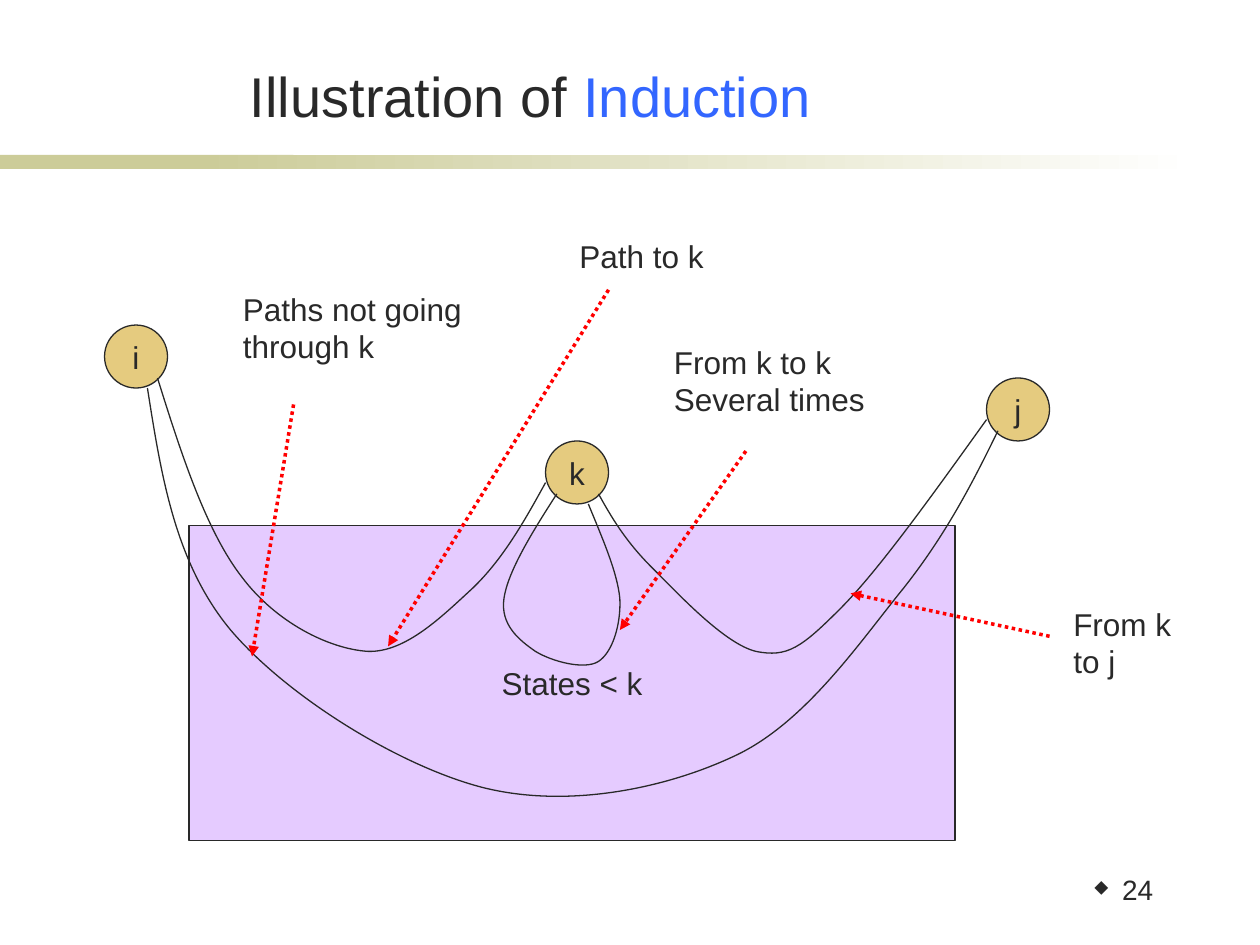
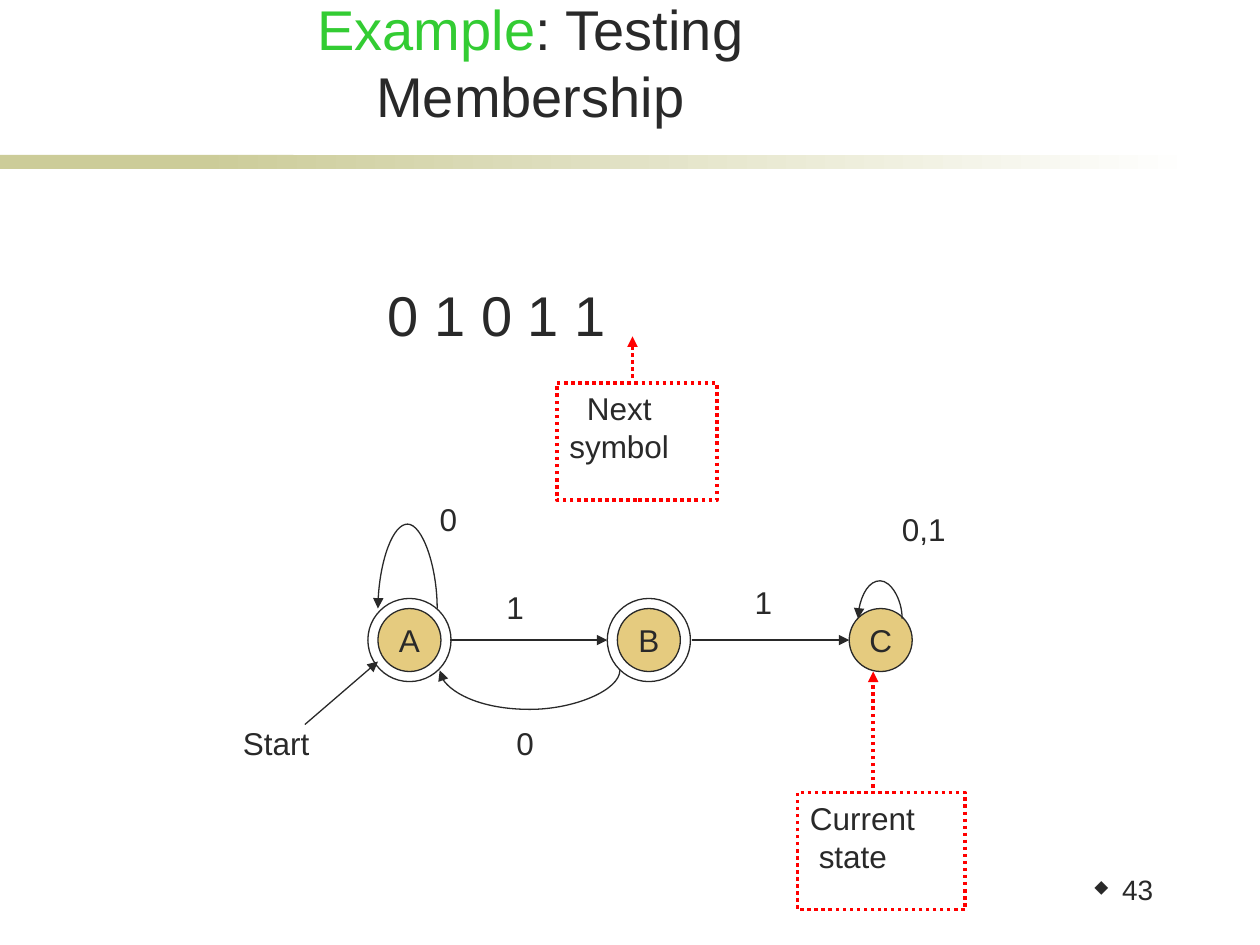
from pptx import Presentation
from pptx.dml.color import RGBColor
from pptx.enum.dml import MSO_LINE
from pptx.enum.shapes import MSO_CONNECTOR, MSO_SHAPE
from pptx.enum.text import MSO_ANCHOR, MSO_AUTO_SIZE, PP_ALIGN
from pptx.oxml.ns import qn
from pptx.util import Inches, Pt
from lxml import etree

FONT, BULLET_FONT = "Arial", "Wingdings"
DIAMOND = "u"  # the diamond in the bullet font
INK, WHITE, BAND = "292929", "FFFFFF", "CCCC99"
BLUE, GREEN, RED = "3366FF", "33CC33", "FF0000"
GOLD, LILAC = "CC9900", "CC99FF"

RECT, OVAL = MSO_SHAPE.RECTANGLE, MSO_SHAPE.OVAL
STRAIGHT = MSO_CONNECTOR.STRAIGHT
DOTTED = MSO_LINE.ROUND_DOT
LEFT, CENTER, RIGHT = PP_ALIGN.LEFT, PP_ALIGN.CENTER, PP_ALIGN.RIGHT
TOP, MIDDLE, BOTTOM = MSO_ANCHOR.TOP, MSO_ANCHOR.MIDDLE, MSO_ANCHOR.BOTTOM

TITLE_ONLY = 5
STATE_R, RING_R = 0.25, 0.33


def rgb(value):
    return RGBColor.from_string(value)


def inches(*values):
    return [Inches(v) for v in values]


# Formatting helpers
def style_run(r, size, color=INK):
    r.font.name = FONT
    r.font.size = Pt(size)
    r.font.color.rgb = rgb(color)


def write(sp, text, size=18, align=LEFT, anchor=TOP, wrap=False):
    tf = sp.text_frame
    tf.word_wrap = wrap
    tf.vertical_anchor = anchor
    tf.text = text
    for p in tf.paragraphs:
        p.alignment = align
        for r in p.runs:
            style_run(r, size)
    return tf


def style_line(line, color=INK, width=0.75, dotted=False, arrow=False):
    line.color.rgb = rgb(color)
    line.width = Pt(width)
    if dotted:
        line.dash_style = DOTTED
    if arrow:
        ln = line._get_or_add_ln()
        etree.SubElement(ln, qn("a:tailEnd"), type="triangle")


def half_transparent(sp):
    color = next(sp._element.spPr.iter(qn("a:srgbClr")))
    etree.SubElement(color, qn("a:alpha"), val="50000")


# Element kinds
def add_box(s, kind, at, fill=None):
    sp = s.shapes.add_shape(kind, *inches(*at))
    sp.shadow.inherit = False
    if fill:
        sp.fill.solid()
        sp.fill.fore_color.rgb = rgb(fill)
    else:
        sp.fill.background()
    return sp


def add_label(s, at, text, size=18):
    sp = s.shapes.add_textbox(*inches(*at))
    write(sp, text, size)


def add_filled(s, kind, at, fill, text):
    sp = add_box(s, kind, at, fill)
    half_transparent(sp)
    style_line(sp.line)
    write(sp, text, align=CENTER, anchor=MIDDLE)


def circle_at(x, y, radius):
    return x - radius, y - radius, 2 * radius, 2 * radius


def add_state(s, x, y, name, accepting=False):
    add_filled(s, OVAL, circle_at(x, y, STATE_R), GOLD, name)
    if accepting:
        ring = add_box(s, OVAL, circle_at(x, y, RING_R))
        style_line(ring.line)


def add_arrow(s, start, end, pointer=False):
    cx = s.shapes.add_connector(STRAIGHT, *inches(*start, *end))
    etree.SubElement(cx._element.spPr, qn("a:effectLst"))
    if pointer:
        style_line(cx.line, RED, 2, dotted=True, arrow=True)
    else:
        style_line(cx.line, arrow=True)


def add_curve(s, points, arrow=False):
    """Start point, then two control points and an end point per Bezier piece."""
    start, *rest = [inches(*point) for point in points]
    fb = s.shapes.build_freeform(*start)
    fb.add_line_segments(rest, close=False)
    sp = fb.convert_to_shape()
    sp.shadow.inherit = False
    sp.fill.background()
    # Each three straight segments become one cubic piece
    segments = list(sp._element.iter(qn("a:lnTo")))
    for i in range(0, len(segments), 3):
        cubic = etree.Element(qn("a:cubicBezTo"))
        segments[i].addprevious(cubic)
        for segment in segments[i:i + 3]:
            cubic.append(segment[0])
            segment.getparent().remove(segment)
    style_line(sp.line, arrow=arrow)


def add_loop(s, start, end, peak):
    """U-shaped arrow from start to end that turns at height peak."""
    (x1, y1), (x2, y2) = start, end
    quarter = (x2 - x1) / 4
    add_curve(s, [start,
                  (x1, (y1 + peak) / 2), (x1 + quarter, peak),
                  (x1 + 2 * quarter, peak),
                  (x2 - quarter, peak), (x2, (y2 + peak) / 2), end],
              arrow=True)


def add_callout(s, at, text, indents):
    sp = add_box(s, RECT, at)
    style_line(sp.line, RED, 2, dotted=True)
    tf = write(sp, text)
    for p, indent in zip(tf.paragraphs, indents):
        p._p.get_or_add_pPr().set("marL", str(Inches(indent)))


# Shared parts of a slide
def add_bands(s):
    solid = add_box(s, RECT, (0, 1.23, 2.33, 0.11), BAND)
    solid.line.fill.background()
    fade = add_box(s, RECT, (1.58, 1.23, 7.92, 0.11))
    fade.line.fill.background()
    fade.fill.gradient()
    fade.fill.gradient_angle = 0
    for stop, color in zip(fade.fill.gradient_stops, (BAND, WHITE)):
        stop.color.rgb = rgb(color)


def add_number(s, number):
    sp = s.shapes.add_textbox(*inches(8.23, 6.91, 1.02, 0.46))
    tf = write(sp, str(number), 16, RIGHT, wrap=True)
    p = tf.paragraphs[0]
    p.line_spacing = 0.9
    pPr = p._p.get_or_add_pPr()
    pPr.set("marL", str(Inches(0.23)))
    pPr.set("indent", str(Inches(-0.23)))
    color = etree.SubElement(pPr, qn("a:buClr"))
    etree.SubElement(color, qn("a:srgbClr"), val=INK)
    etree.SubElement(pPr, qn("a:buSzPct"), val="60000")
    etree.SubElement(pPr, qn("a:buFont"), typeface=BULLET_FONT, charset="2")
    etree.SubElement(pPr, qn("a:buChar"), char=DIAMOND)


def add_title(s, parts):
    sp = s.shapes.title
    sp.left, sp.top, sp.width, sp.height = inches(1.14, 0.44, 6.14, 0.63)
    tf = sp.text_frame
    tf.auto_size = MSO_AUTO_SIZE.NONE
    tf.word_wrap = True
    tf.vertical_anchor = BOTTOM
    tf.margin_left = tf.margin_right = Inches(0.15)
    p = tf.paragraphs[0]
    p.alignment = CENTER
    for text, color in parts:
        r = p.add_run()
        r.text = text
        style_run(r, 32, color)


def new_slide(prs, title, number):
    s = prs.slides.add_slide(prs.slide_layouts[TITLE_ONLY])
    add_bands(s)
    add_number(s, number)
    add_title(s, title)
    return s


def induction_slide(prs):
    s = new_slide(prs, [("Illustration of ", INK), ("Induction", BLUE)], 24)
    add_filled(s, RECT, (1.5, 4.17, 6.08, 2.5), LILAC, "States < k")
    for name, x, y in [("k", 4.58, 3.75), ("i", 1.08, 2.83), ("j", 8.08, 3.25)]:
        add_state(s, x, y, name)

    # Paths: i to j, i to k, k to k, k to j
    paths = [
        [(1.17, 3.08), (1.28, 3.78), (1.39, 4.47), (1.83, 5),
         (2.28, 5.53), (3.17, 6.08), (3.83, 6.25),
         (4.5, 6.42), (5.28, 6.26), (5.83, 6),
         (6.39, 5.74), (6.82, 5.1), (7.17, 4.67),
         (7.51, 4.24), (7.72, 3.83), (7.92, 3.42)],
        [(1.25, 3), (1.44, 3.61), (1.64, 4.22), (1.92, 4.58),
         (2.19, 4.94), (2.61, 5.15), (2.92, 5.17),
         (3.22, 5.18), (3.51, 4.89), (3.75, 4.67),
         (3.99, 4.44), (4.16, 4.14), (4.33, 3.83)],
        [(4.42, 3.92), (4.22, 4.23), (4.03, 4.54), (4, 4.75),
         (3.97, 4.96), (4.12, 5.08), (4.25, 5.17),
         (4.38, 5.25), (4.64, 5.32), (4.75, 5.25),
         (4.86, 5.18), (4.93, 4.96), (4.92, 4.75),
         (4.9, 4.54), (4.78, 4.27), (4.67, 4)],
        [(4.75, 3.92), (4.85, 4.1), (4.96, 4.29), (5.17, 4.5),
         (5.38, 4.71), (5.75, 5.11), (6, 5.17),
         (6.25, 5.22), (6.36, 5.14), (6.67, 4.83),
         (6.97, 4.53), (7.4, 3.93), (7.83, 3.33)],
    ]
    for points in paths:
        add_curve(s, points)

    # Explanations with their pointers
    notes = [
        ("Paths not going\nthrough k", (1.83, 2.25, 2.5, 0.9), (2.33, 3.21), (2, 5.21)),
        ("From k\nto j", (8.42, 4.75, 1.23, 0.9), (8.33, 5.05), (6.75, 4.71)),
        ("From k to k\nSeveral times", (5.25, 2.67, 2.17, 0.9), (5.92, 3.58), (4.92, 5)),
        ("Path to k", (4.5, 1.83, 1.52, 0.5), (4.83, 2.3), (3.08, 5.13)),
    ]
    for text, at, start, end in notes:
        add_label(s, at, text)
        add_arrow(s, start, end, pointer=True)


def membership_slide(prs):
    s = new_slide(prs, [("Example", GREEN), (": Testing Membership", INK)], 43)

    # Automaton
    state_y = 5.08
    for name, x, accepting in [("A", 3.25, True), ("B", 5.15, True), ("C", 6.99, False)]:
        add_state(s, x, state_y, name, accepting)
    add_arrow(s, (2.42, 5.75), (3, 5.25))
    add_arrow(s, (3.57, state_y), (4.82, state_y))
    add_arrow(s, (5.49, state_y), (6.74, state_y))
    add_loop(s, (3.47, 4.83), (3, 4.83), 4.16)
    add_loop(s, (4.92, 5.32), (3.49, 5.32), 5.63)
    add_loop(s, (7.16, 4.91), (6.81, 4.91), 4.61)
    labels = [("Start", 1.83, 5.7, 0.9), ("1", 3.92, 4.62, 0.38),
              ("0", 4, 5.7, 0.38), ("1", 5.89, 4.58, 0.38),
              ("0", 3.39, 3.92, 0.38), ("0,1", 7.06, 4, 0.67)]
    for text, x, y, width in labels:
        add_label(s, (x, y, width, 0.5), text)

    # Input string and the current position
    add_label(s, (2.98, 2.18, 1.97, 0.63), "0 1 0 1 1", 32)
    add_callout(s, (4.42, 3.04, 1.27, 0.93), "Next\nsymbol", (0.14, 0))
    add_arrow(s, (5.02, 3), (5.02, 2.67), pointer=True)
    add_callout(s, (6.33, 6.29, 1.33, 0.93), "Current\nstate", (0, 0.07))
    add_arrow(s, (6.93, 6.25), (6.93, 5.33), pointer=True)


def main():
    prs = Presentation()
    prs.slide_width, prs.slide_height = inches(10, 7.5)
    induction_slide(prs)
    membership_slide(prs)
    prs.save("out.pptx")


if __name__ == "__main__":
    main()
